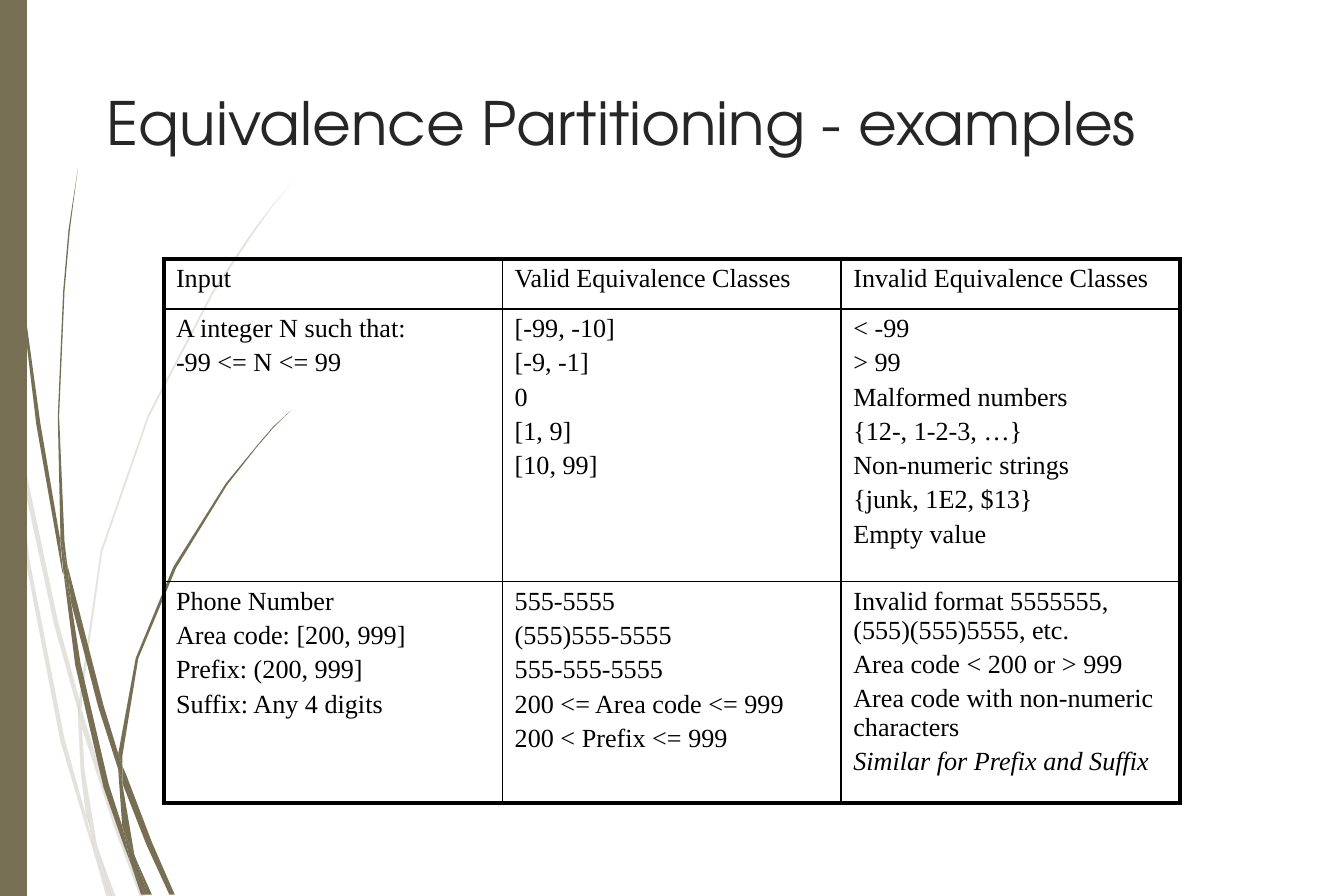
from lxml.etree import SubElement
from pptx import Presentation
from pptx.dml.color import RGBColor
from pptx.enum.shapes import MSO_SHAPE
from pptx.enum.text import MSO_ANCHOR, PP_ALIGN
from pptx.oxml.ns import qn
from pptx.util import Inches, Pt

WIDTH, HEIGHT = 10, 6.67
COLORS = {"olive": "766F54", "title": "262626", "ink": "000000"}
TITLE_FONT, TABLE_FONT = "TeX Gyre Adventor", "Times New Roman"
OUTER_LINE, INNER_LINE = 2.25, 1

# Each blade of grass is an outline of (x, y) corners, in inches.
PALE_BLADES = [
    [(.08, 3.11), (.06, 2.86), (0, 2.5), (0, 2.66), (.07, 3.06)],
    [(.4, 4.64), (.59, 5.33), (.59, 5.21), (.43, 4.62), (.1, 3.07), (.12, 3.34)],
    [(.64, 5.39), (.61, 5.29), (.61, 5.42), (.85, 6.16), (1.04, 6.67),
     (1.08, 6.67), (.88, 6.15)],
    [(.83, 6.67), (.86, 6.67), (.73, 6.32)],
    [(.64, 6.07), (.48, 5.5), (.22, 4.17), (.12, 3.34), (.08, 3.11), (.19, 4.17),
     (.45, 5.52), (.64, 6.16), (.7, 6.35), (.69, 6.28)],
    [(.58, 5.33), (.6, 5.74), (.64, 6.07), (.67, 6.15), (.73, 6.32), (.72, 6.28),
     (.63, 5.74), (.61, 5.42)],
    [(.61, 5.19), (.76, 4.11), (1.11, 3.1), (1.59, 2.18), (1.87, 1.76),
     (2.01, 1.56), (2.17, 1.36), (2.01, 1.55), (1.86, 1.75), (1.58, 2.17),
     (1.1, 3.09), (.75, 4.1), (.59, 5.19), (.59, 5.21), (.61, 5.29)],
    [(.7, 6.35), (.79, 6.67), (.82, 6.67)],
    [(.61, 5.41), (.61, 5.43), (.61, 5.3), (.59, 5.21), (.58, 5.33)],
    [(.67, 6.15), (.65, 6.07), (.69, 6.29), (.7, 6.35), (.82, 6.67), (.83, 6.67),
     (.73, 6.32)],
]
DARK_BLADES = [
    [(.05, .98), (.14, 2.07), (.27, 3.16), (.46, 4.24), (.47, 4.28), (.45, 4.06),
     (.45, 4.03), (.3, 3.15), (.15, 2.06), (.06, .97), (.04, .43), (.03, 0),
     (.02, 0), (.03, .43)],
    [(.73, 5.26), (.88, 5.73), (.88, 5.61), (.77, 5.25), (.5, 4.2), (.53, 4.49)],
    [(.94, 5.77), (.91, 5.7), (.91, 5.83), (1.09, 6.29), (1.26, 6.66),
     (1.3, 6.66), (1.13, 6.27)],
    [(.91, 6.15), (.81, 5.84), (.6, 4.94), (.53, 4.49), (.47, 4.24), (.56, 4.95),
     (.77, 5.86), (.92, 6.29), (.97, 6.42), (.96, 6.37)],
    [(.5, 4.2), (.48, 4.03), (.44, 3.1), (.48, 2.17), (.52, 1.71), (.58, 1.25),
     (.51, 1.71), (.47, 2.17), (.43, 3.1), (.45, 3.99), (.49, 4.19)],
    [(1.1, 6.66), (1.13, 6.66), (1.01, 6.39)],
    [(.47, 4.24), (.53, 4.49), (.5, 4.2), (.49, 4.19), (.45, 3.99), (.45, 4.03)],
    [(.91, 5.63), (1.03, 4.9), (1.31, 4.23), (1.69, 3.61), (1.91, 3.33),
     (2.03, 3.19), (2.16, 3.06), (2.03, 3.18), (1.91, 3.32), (1.68, 3.6),
     (1.29, 4.22), (1.01, 4.9), (.88, 5.61), (.91, 5.7)],
    [(.97, 6.42), (1.05, 6.66), (1.08, 6.66)],
    [(.88, 5.73), (.91, 6.15), (.96, 6.28), (1.01, 6.39), (1, 6.36), (.91, 5.83),
     (.9, 5.78)],
    [(.88, 5.73), (.9, 5.78), (.91, 5.83), (.91, 5.7), (.88, 5.61)],
    [(.96, 6.28), (.91, 6.15), (.96, 6.37), (.97, 6.42), (1.08, 6.66),
     (1.1, 6.66), (1.01, 6.39)],
]

ROW_HEIGHTS = [.37, 2.03, 1.65]
ROWS = [
    [["Input"], ["Valid Equivalence Classes"], ["Invalid Equivalence Classes"]],
    [["A integer N such that:", "-99 <= N <= 99"],
     ["[-99, -10]", "[-9, -1]", "0", "[1, 9]", "[10, 99]"],
     ["< -99", "> 99", "Malformed numbers", "{12-, 1-2-3, …}",
      "Non-numeric strings", "{junk, 1E2, $13}", "Empty value"]],
    [["Phone Number", "Area code: [200, 999]", "Prefix: (200, 999]",
      "Suffix: Any 4 digits"],
     ["555-5555", "(555)555-5555", "555-555-5555", "200 <= Area code <= 999",
      "200 < Prefix <= 999"],
     ["Invalid format 5555555, (555)(555)5555, etc.",
      "Area code < 200 or > 999", "Area code with non-numeric characters",
      "Similar for Prefix and Suffix"]],
]
ITALIC_LINES = {"Similar for Prefix and Suffix"}


def color(name):
    return RGBColor.from_string(COLORS[name])


def paint(shape, opacity=100):
    shape.shadow.inherit = False
    shape.fill.solid()
    shape.fill.fore_color.rgb = color("olive")
    shape.line.fill.background()
    if opacity < 100:
        solid = shape._element.spPr.find(qn("a:solidFill"))
        SubElement(solid[0], qn("a:alpha"), val=str(opacity * 1000))


def add_blade(slide, corners, opacity):
    outline = [(Inches(x), Inches(y)) for x, y in corners]
    builder = slide.shapes.build_freeform(*outline[0])
    builder.add_line_segments(outline[1:], close=True)
    paint(builder.convert_to_shape(), opacity)


def add_side_decoration(slide, width, height):
    for blades, opacity in ((PALE_BLADES, 20), (DARK_BLADES, 100)):
        for corners in blades:
            add_blade(slide, corners, opacity)
    paint(slide.shapes.add_shape(MSO_SHAPE.RECTANGLE, 0, 0, Inches(width), Inches(height)))


def fill_title(slide, text, left, top, width, height):
    title = slide.shapes.title
    title.left, title.top = Inches(left), Inches(top)
    title.width, title.height = Inches(width), Inches(height)
    frame = title.text_frame
    frame.text = text
    frame.vertical_anchor = MSO_ANCHOR.TOP
    paragraph = frame.paragraphs[0]
    paragraph.alignment = PP_ALIGN.LEFT
    font = paragraph.font
    font.name, font.size, font.color.rgb = TITLE_FONT, Pt(32), color("title")


def set_borders(cell, widths):
    properties = cell._tc.get_or_add_tcPr()
    for side in "LRTB":
        line = SubElement(properties, qn(f"a:ln{side}"), w=str(Pt(widths[side])))
        fill = SubElement(line, qn("a:solidFill"))
        SubElement(fill, qn("a:srgbClr"), val=COLORS["ink"])


def fill_cell(cell, lines):
    cell.margin_left = cell.margin_right = Inches(.09)
    cell.margin_top = cell.margin_bottom = Inches(.04)
    cell.fill.background()
    frame = cell.text_frame
    frame.text = "\n".join(lines)
    for index, paragraph in enumerate(frame.paragraphs):
        paragraph.space_before = Pt(2.9 if index else 0)
        font = paragraph.font
        font.name, font.size, font.color.rgb = TABLE_FONT, Pt(14), color("ink")
        if lines[index] in ITALIC_LINES:
            font.italic = True


def add_class_table(slide, left, top, width):
    row_count, column_count = len(ROWS), len(ROWS[0])
    table = slide.shapes.add_table(
        row_count, column_count, Inches(left), Inches(top),
        Inches(width), Inches(sum(ROW_HEIGHTS))).table
    table.first_row = table.horz_banding = False
    for row, height in zip(table.rows, ROW_HEIGHTS):
        row.height = Inches(height)
    for r, row_texts in enumerate(ROWS):
        for c, lines in enumerate(row_texts):
            on_edge = {"L": c == 0, "R": c == column_count - 1,
                       "T": r == 0, "B": r == row_count - 1}
            cell = table.cell(r, c)
            set_borders(cell, {side: OUTER_LINE if edge else INNER_LINE
                               for side, edge in on_edge.items()})
            fill_cell(cell, lines)


def main():
    presentation = Presentation()
    presentation.slide_width, presentation.slide_height = Inches(WIDTH), Inches(HEIGHT)
    title_only = presentation.slide_layouts[5]
    slide = presentation.slides.add_slide(title_only)
    add_side_decoration(slide, WIDTH * .02, HEIGHT)
    fill_title(slide, "Equivalence Partitioning - examples", .69, .59, 8.82, .7)
    add_class_table(slide, 1.22, 1.93, 7.56)
    presentation.save("out.pptx")


if __name__ == "__main__":
    main()
